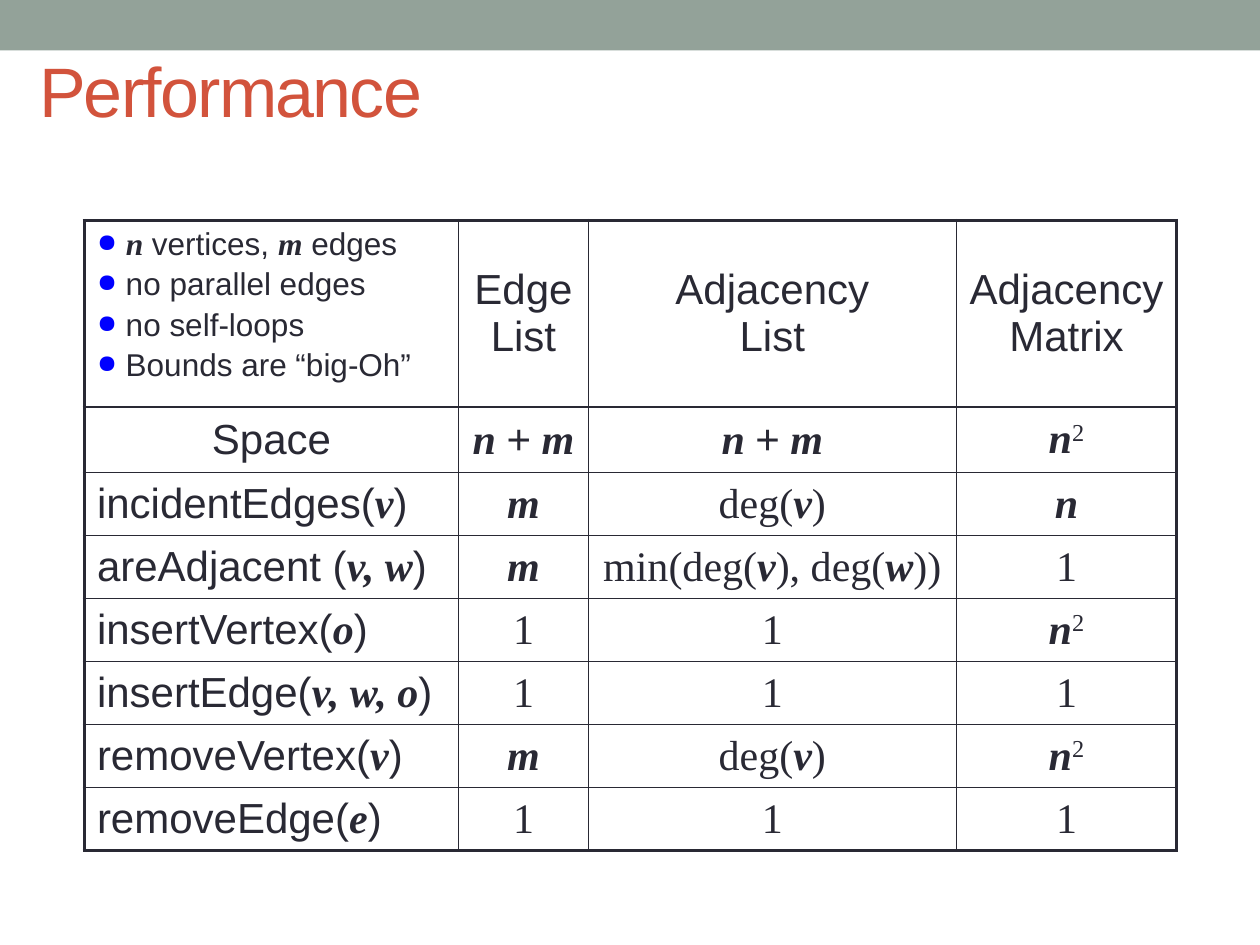
from dataclasses import dataclass

from lxml.etree import SubElement
from pptx import Presentation
from pptx.dml.color import RGBColor
from pptx.enum.shapes import MSO_SHAPE
from pptx.enum.text import MSO_ANCHOR, MSO_AUTO_SIZE, PP_ALIGN
from pptx.oxml.ns import qn
from pptx.util import Inches, Pt


@dataclass(frozen=True)
class Theme:
    """Colours, fonts and sizes of the slide."""
    band: str = "93A299"
    title: str = "D2533C"
    ink: str = "292934"
    bullet: str = "0000FF"
    sans: str = "Arial"
    serif: str = "Times New Roman"
    title_size: int = 40
    table_size: int = 24
    note_size: int = 18
    frame: float = 2.25
    grid: float = 1


THEME = Theme()
COLUMN_WIDTHS = [2.97, 1.03, 2.92, 1.75]
ROW_HEIGHTS = [1.48, 0.52] + [0.5] * 6
ASSUMPTIONS = [
    " *n* vertices, *m* edges",
    " no parallel edges",
    " no self-loops",
    " Bounds are “big-Oh”",
]
HEADINGS = ["Edge\nList", "Adjacency\nList", "Adjacency Matrix"]
COSTS = [
    ["Space", "*n *+* m*", "*n *+* m*", "*n*^2"],
    ["incidentEdges(*v*)", "*m*", "deg(*v*)", "*n*"],
    ["areAdjacent (*v, w*)", "*m*", "min(deg(*v*), deg(*w*))", "1"],
    ["insertVertex(*o*)", "1", "1", "*n*^2"],
    ["insertEdge(*v, w, o*)", "1", "1", "1"],
    ["removeVertex(*v*)", "*m*", "deg(*v*)", "*n*^2"],
    ["removeEdge(*e*)", "1", "1", "1"],
]


def add_run(paragraph, text, font, size, color, italic_bold=False):
    """Add one formatted run and return it."""
    run = paragraph.add_run()
    run.text = text
    run.font.name = font
    run.font.size = Pt(size)
    run.font.bold = run.font.italic = italic_bold
    run.font.color.rgb = RGBColor.from_string(color)
    return run


def add_formula(paragraph, markup, font, size):
    """Write markup where *x* is a variable, ^x an exponent and a newline a break."""
    for index, part in enumerate(markup.split("*")):
        if index % 2:
            add_run(paragraph, part, THEME.serif, size, THEME.ink, True)
        elif part.startswith("^"):
            exponent = add_run(paragraph, part[1:], THEME.serif, size, THEME.ink)
            exponent.font._element.set("baseline", "30000")
        elif part:
            for line_number, line in enumerate(part.split("\n")):
                if line_number:
                    paragraph.add_line_break()
                add_run(paragraph, line, font, size, THEME.ink)


def add_bullet(paragraph):
    """Give the paragraph a small round bullet."""
    properties = paragraph._p.get_or_add_pPr()
    color = SubElement(properties, qn("a:buClr"))
    SubElement(color, qn("a:srgbClr"), val=THEME.bullet)
    SubElement(properties, qn("a:buSzPct"), val="80000")
    SubElement(properties, qn("a:buChar"), char="●")


def style_cell(cell, row, column):
    """Clear the fill and draw a heavy outer frame with thin inner lines."""
    properties = cell._tc.get_or_add_tcPr()
    on_frame = {
        "L": column == 0,
        "R": column == len(COLUMN_WIDTHS) - 1,
        "T": row == 0,
        "B": row == len(ROW_HEIGHTS) - 1,
    }
    for side, outer in on_frame.items():
        width = Pt(THEME.frame if outer else THEME.grid)
        line = SubElement(properties, qn(f"a:ln{side}"), w=str(width))
        fill = SubElement(line, qn("a:solidFill"))
        SubElement(fill, qn("a:srgbClr"), val=THEME.ink)
    cell.fill.background()


def fill_cell(cell, markup, font, alignment):
    """Write one vertically centred table entry."""
    cell.vertical_anchor = MSO_ANCHOR.MIDDLE
    paragraph = cell.text_frame.paragraphs[0]
    paragraph.alignment = alignment
    add_formula(paragraph, markup, font, THEME.table_size)


def fill_assumptions(cell):
    """Write the bulleted assumptions in the corner cell."""
    cell.vertical_anchor = MSO_ANCHOR.TOP
    frame = cell.text_frame
    for index, assumption in enumerate(ASSUMPTIONS):
        paragraph = frame.add_paragraph() if index else frame.paragraphs[0]
        add_bullet(paragraph)
        if index:
            paragraph.space_before = Pt(3)
        add_formula(paragraph, assumption, THEME.sans, THEME.note_size)


def add_title(slide, text):
    """Place and format the slide title."""
    title = slide.shapes.title
    title.left, title.top = Inches(0.21), Inches(0.21)
    title.width, title.height = Inches(8.77), Inches(1)
    frame = title.text_frame
    frame.auto_size = MSO_AUTO_SIZE.NONE
    frame.vertical_anchor = MSO_ANCHOR.MIDDLE
    paragraph = frame.paragraphs[0]
    paragraph.alignment = PP_ALIGN.LEFT
    run = add_run(paragraph, text, THEME.sans, THEME.title_size, THEME.title)
    run.font._element.set("spc", "-100")


def add_band(slide, width):
    """Draw the top band behind the title."""
    band = slide.shapes.add_shape(MSO_SHAPE.RECTANGLE, 0, 0, width, Inches(0.4))
    band.shadow.inherit = False
    band.fill.solid()
    band.fill.fore_color.rgb = RGBColor.from_string(THEME.band)
    band.line.fill.background()
    slide.shapes.title.element.addprevious(band.element)


def add_cost_table(slide):
    """Build the table of costs for each graph structure."""
    table = slide.shapes.add_table(
        len(ROW_HEIGHTS), len(COLUMN_WIDTHS), Inches(0.67), Inches(1.75),
        Inches(sum(COLUMN_WIDTHS)), Inches(sum(ROW_HEIGHTS)),
    ).table
    table.first_row = table.horz_banding = False
    for column, width in zip(table.columns, COLUMN_WIDTHS):
        column.width = Inches(width)
    for row, height in zip(table.rows, ROW_HEIGHTS):
        row.height = Inches(height)

    fill_assumptions(table.cell(0, 0))
    for column, heading in enumerate(HEADINGS, 1):
        fill_cell(table.cell(0, column), heading, THEME.sans, PP_ALIGN.CENTER)
    for row, costs in enumerate(COSTS, 1):
        for column, cost in enumerate(costs):
            is_operation = column == 0 and row > 1
            font = THEME.sans if column == 0 or row == 1 else THEME.serif
            alignment = PP_ALIGN.LEFT if is_operation else PP_ALIGN.CENTER
            fill_cell(table.cell(row, column), cost, font, alignment)
    for row in range(len(ROW_HEIGHTS)):
        for column in range(len(COLUMN_WIDTHS)):
            style_cell(table.cell(row, column), row, column)


def main():
    """Build and save the slide."""
    presentation = Presentation()
    presentation.slide_width, presentation.slide_height = Inches(10), Inches(7.5)
    slide = presentation.slides.add_slide(presentation.slide_layouts[5])
    add_title(slide, "Performance")
    add_band(slide, presentation.slide_width)
    add_cost_table(slide)
    presentation.save("out.pptx")


if __name__ == "__main__":
    main()
